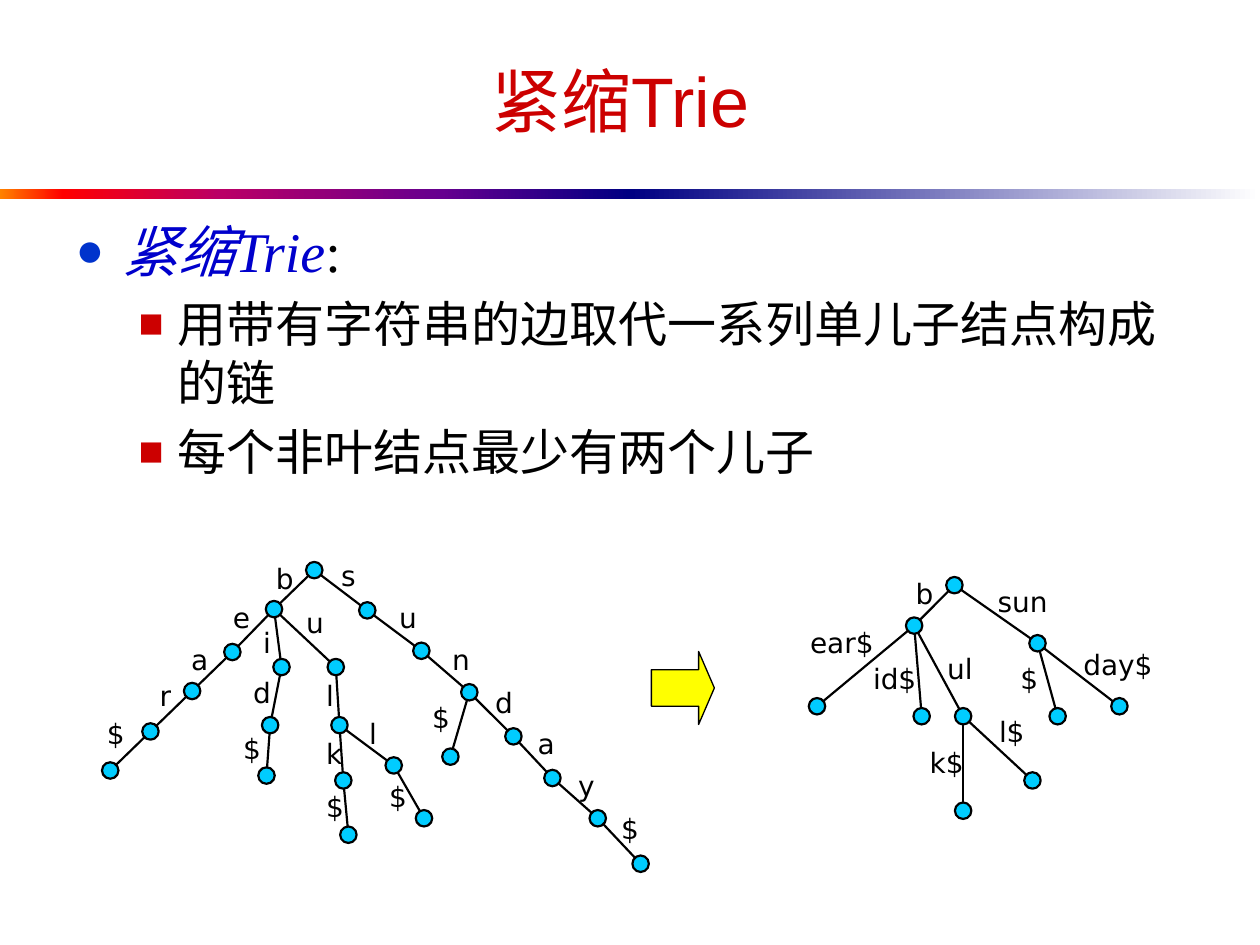
from math import hypot
from lxml import etree
from pptx import Presentation
from pptx.dml.color import RGBColor as RGB
from pptx.enum.shapes import MSO_CONNECTOR as LINK, MSO_SHAPE as SHAPE
from pptx.enum.text import MSO_ANCHOR as ANCHOR, MSO_AUTO_SIZE as AUTO, PP_ALIGN as ALIGN
from pptx.oxml.ns import qn
from pptx.util import Pt

RED = RGB(0xCC, 0x00, 0x00)
BLUE = RGB(0x00, 0x00, 0xCC)
DOT = RGB(0x00, 0x33, 0xCC)
BLACK = RGB(0x00, 0x00, 0x00)
CYAN = RGB(0x00, 0xCC, 0xFF)
YELLOW = RGB(0xFF, 0xFF, 0x00)
NAVY = RGB(0x00, 0x00, 0x82)
WHITE = RGB(0xFF, 0xFF, 0xFF)

TITLE = "紧缩Trie "
LEAD = [("紧缩Trie", BLUE, True), (":", BLACK, False)]
POINTS = ["用带有字符串的边取代一系列单儿子结点构成的链", "每个非叶结点最少有两个儿子"]
BARS = [
    [(0, RGB(0xFF, 0x82, 0x00)), (10, RGB(0xFF, 0x00, 0x00)), (35, RGB(0xBA, 0x00, 0x66)),
     (70, RGB(0x66, 0x00, 0x8F)), (100, NAVY)],
    [(0, NAVY), (100, WHITE)],
]

FULL = {
    "": (179.6, 325.8),
    "b": (156.6, 348.1, 150.5, 317.5),
    "be": (132.8, 372.6, 126, 339.8),
    "bea": (109.8, 394.9, 102.2, 363.6),
    "bear": (86, 418, 84.2, 384.5),
    "bear$": (63, 440.3, 54, 406.1),
    "bi": (160.9, 381.2, 143.3, 354.2),
    "bid": (154.4, 414.4, 137.5, 382.3),
    "bid$": (152.3, 443.2, 131.8, 414.7),
    "bu": (191.9, 381.2, 167.8, 342.7),
    "bul": (194, 414.4, 179.3, 384.5),
    "bulk": (196.2, 446, 179.3, 417.6),
    "bulk$": (199.1, 477, 179.3, 447.8),
    "bull": (225, 437.4, 203.8, 406.1),
    "bull$": (242.3, 467.6, 215.3, 442.1),
    "s": (209.9, 348.8, 187.9, 315.4),
    "su": (240.8, 371.9, 221, 339.8),
    "sun": (268.2, 395.6, 251.3, 363.6),
    "sun$": (257.4, 432.4, 239.8, 396.7),
    "sund": (293.4, 420.8, 275.8, 388.1),
    "sunda": (315.7, 444.6, 300.2, 411.8),
    "sunday": (341.6, 467.6, 323.3, 435.6),
    "sunday$": (366.1, 493.6, 347.8, 460.1),
}
SHORT = {
    "": (545.4, 334.4),
    "b": (522.4, 357.5, 516.2, 326.2),
    "bear$": (466.9, 403.6, 455.8, 354.2),
    "bid$": (526.7, 409.3, 491.8, 374.4),
    "bul": (550.4, 409.3, 534.2, 368.6),
    "bulk$": (550.4, 463.3, 524.2, 422.6),
    "bull$": (590, 446, 563.8, 404.6),
    "sun": (592.9, 367.6, 563, 330.5),
    "sun$": (604.4, 409.3, 576, 374.4),
    "sunday$": (639.7, 403.6, 612, 366.5),
}
RADIUS = 4.7
THIN = {"i": 4.4, "l": 4.4, "r": 6.6, "s": 8.3}

deck = Presentation()
deck.slide_width, deck.slide_height = Pt(720), Pt(540)
slide = deck.slides.add_slide(deck.slide_layouts[1])
shapes = slide.shapes


def place(shape, left, top, width, height):
    shape.left, shape.top = Pt(left), Pt(top)
    shape.width, shape.height = Pt(width), Pt(height)


def style(font, size, name, color=None):
    font.size, font.name = Pt(size), name
    if color is not None:
        font.color.rgb = color


def preset(kind, box, fill, weight):
    shape = shapes.add_shape(kind, *map(Pt, box))
    shape.shadow.inherit = False
    shape.fill.solid()
    shape.fill.fore_color.rgb = fill
    shape.line.color.rgb = BLACK
    shape.line.width = Pt(weight)
    return shape


def bar(left, stops):
    shape = shapes.add_shape(SHAPE.RECTANGLE, Pt(left), Pt(108), Pt(360), Pt(5.76))
    shape.shadow.inherit = False
    shape.line.fill.background()
    shape.fill.gradient()
    shape.fill.gradient_angle = 0
    stop_list = shape._element.spPr.find(qn("a:gradFill")).find(qn("a:gsLst"))
    for old in list(stop_list):
        stop_list.remove(old)
    for part, color in stops:
        stop = etree.SubElement(stop_list, qn("a:gs"), pos=str(part * 1000))
        etree.SubElement(stop, qn("a:srgbClr"), val=str(color))


def bullet(para, char, color, left, hang):
    props = para._p.get_or_add_pPr()
    props.set("marL", str(Pt(left)))
    props.set("indent", str(-Pt(hang)))
    tint = etree.SubElement(props, qn("a:buClr"))
    etree.SubElement(tint, qn("a:srgbClr"), val=str(color))
    etree.SubElement(props, qn("a:buSzPct"), val="85000")
    etree.SubElement(props, qn("a:buChar"), char=char)


def edge(start, end):
    (x1, y1), (x2, y2) = start, end
    span = hypot(x2 - x1, y2 - y1)
    dx, dy = (x2 - x1) / span * RADIUS, (y2 - y1) / span * RADIUS
    ends = (x1 + dx, y1 + dy, x2 - dx, y2 - dy)
    line = shapes.add_connector(LINK.STRAIGHT, *map(Pt, ends))
    line.line.color.rgb = BLACK
    line.line.width = Pt(1.25)
    etree.SubElement(line._element.spPr, qn("a:effectLst"))


def label(text, left, top):
    width = 14.4 + sum(THIN.get(char, 10) for char in text)
    box = shapes.add_textbox(Pt(left), Pt(top), Pt(width), Pt(26.64))
    frame = box.text_frame
    frame.word_wrap = False
    frame.margin_right = Pt(0)
    para = frame.paragraphs[0]
    para.text = text
    para.alignment = ALIGN.LEFT
    style(para.font, 16, "DejaVu Sans", BLACK)


def draw(tree):
    for word, (x, y, *spot) in tree.items():
        if word:
            stem = max((key for key in tree if key != word and word.startswith(key)), key=len)
            edge(tree[stem][:2], (x, y))
            label(word[len(stem):], *spot)
        preset(SHAPE.OVAL, (x - RADIUS, y - RADIUS, 2 * RADIUS, 2 * RADIUS), CYAN, 1.25)


for i, stops in enumerate(BARS):
    bar(i * 360, stops)

title = shapes.title
place(title, 36, 18, 648, 77.76)
title.text_frame.auto_size = AUTO.NONE
title.text_frame.vertical_anchor = ANCHOR.MIDDLE
head = title.text_frame.paragraphs[0]
head.text = TITLE
head.alignment = ALIGN.CENTER
style(head.font, 40, "Arial", RED)

body = slide.placeholders[1]
place(body, 36, 120.24, 648, 157.68)
frame = body.text_frame
frame.auto_size = AUTO.NONE
lead = frame.paragraphs[0]
lead.space_before = Pt(0)
bullet(lead, "●", DOT, 27, 27)
style(lead.font, 32, "Times New Roman")
for text, color, slant in LEAD:
    run = lead.add_run()
    run.text = text
    run.font.color.rgb = color
    run.font.italic = slant
for text in POINTS:
    para = frame.add_paragraph()
    para.text = text
    para.level = 1
    para.space_before = Pt(5.6)
    bullet(para, "■", RED, 58.5, 22.5)
    style(para.font, 28, "Times New Roman", BLACK)

draw(FULL)
draw(SHORT)
arrow = preset(SHAPE.RIGHT_ARROW, (372.24, 372.24, 36, 41.76), YELLOW, 0.75)
arrow.adjustments[0], arrow.adjustments[1] = 0.5, 0.25

deck.save("out.pptx")
